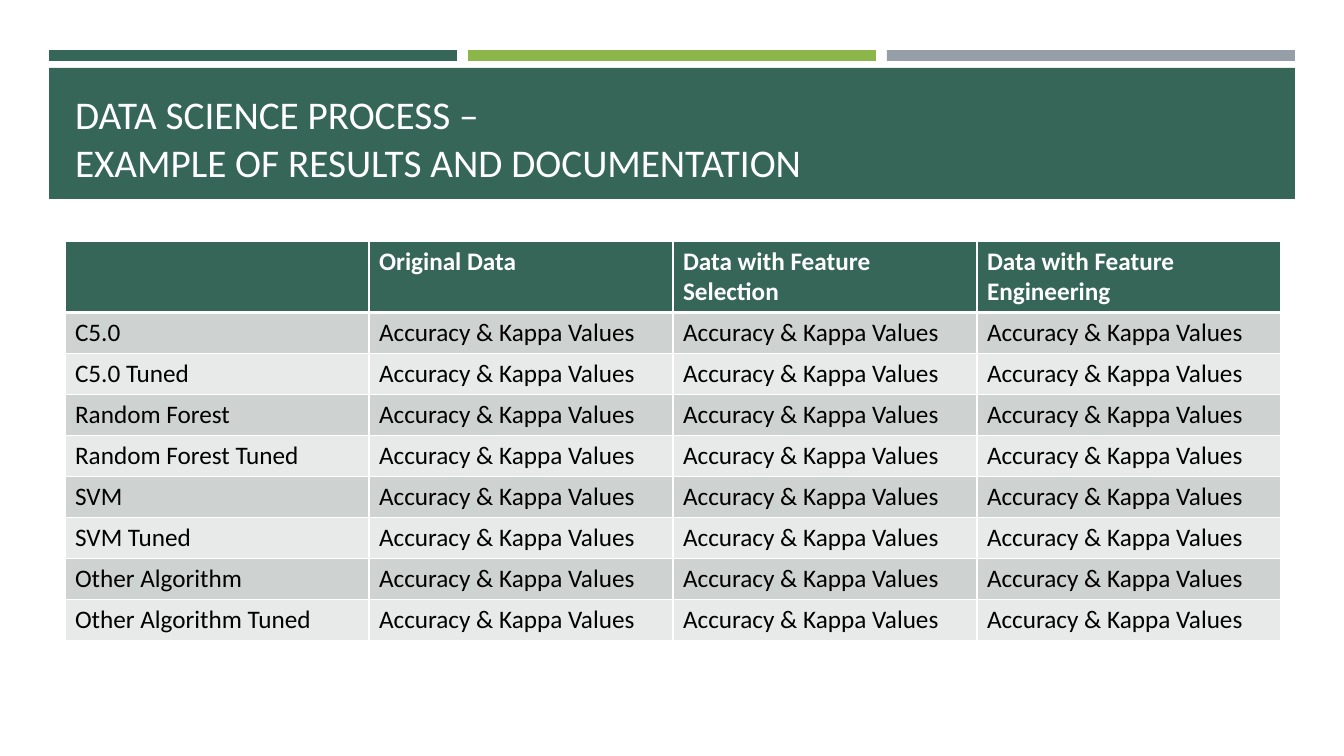
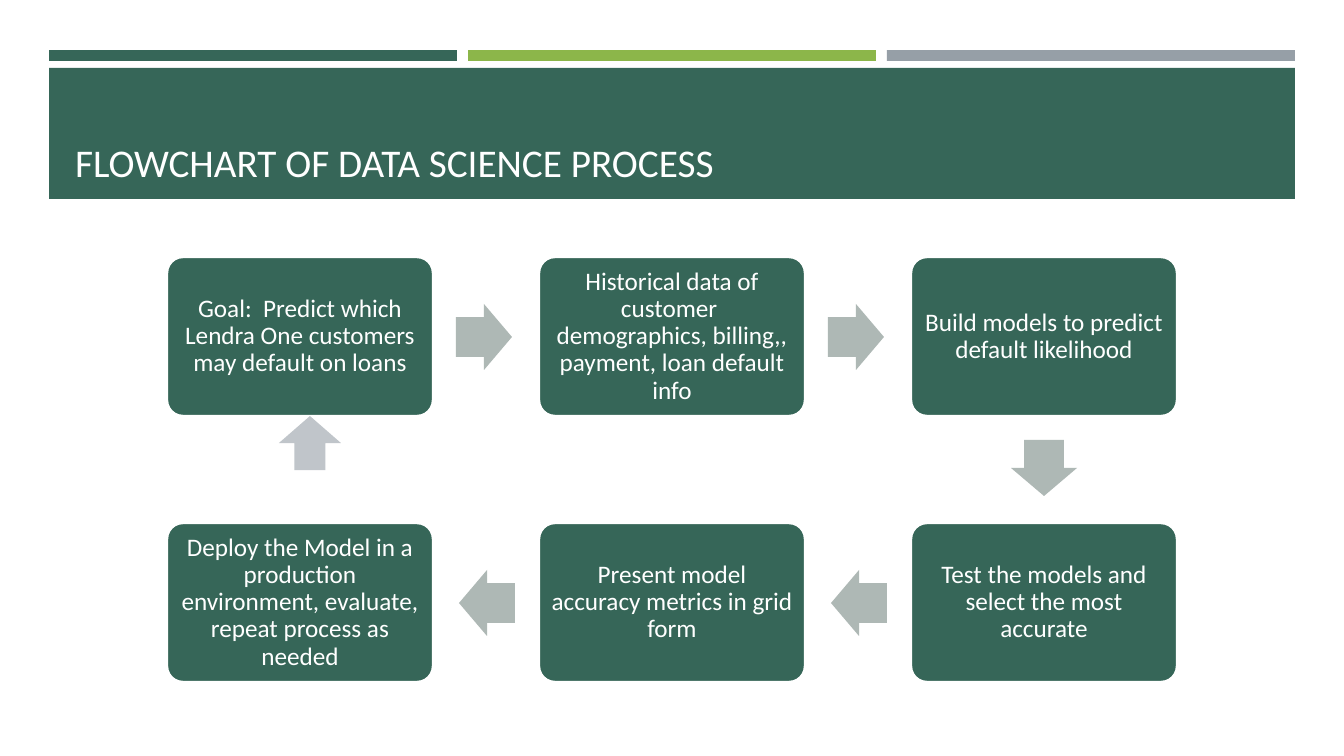
from dataclasses import dataclass

from lxml import etree
from pptx import Presentation
from pptx import util as u
from pptx.dml.color import RGBColor
from pptx.enum import shapes, text
from pptx.oxml.ns import qn

RESULTS_TITLE = "DATA SCIENCE PROCESS – \vEXAMPLE OF RESULTS AND DOCUMENTATION"
RESULTS_HEADER = ["", "Original Data", "Data with Feature Selection", "Data with Feature Engineering"]
ALGORITHMS = ["C5.0", "Random Forest", "SVM", "Other Algorithm"]
RESULT = "Accuracy & Kappa Values"

FLOW_TITLE = "FLOWCHART OF DATA SCIENCE PROCESS"
STEPS = [
    ("Goal:  Predict which Lendra One customers may default on loans", 0, 0, "right"),
    ("Historical data of customer  demographics, billing,, payment, loan default info", 1, 0, "right"),
    ("Build models to predict default likelihood", 2, 0, "down"),
    ("Test the models and select the most accurate", 2, 1, "left"),
    ("Present model accuracy metrics in grid form", 1, 1, "left"),
    ("Deploy the Model in a production environment, evaluate, repeat process as needed", 0, 1, None),
]
ARROW_PLACES = {"right": (289, 47, 0), "down": (105, 178, 90), "left": (-80, 47, 180)}


@dataclass(frozen=True)
class Theme:
    font: str = "Calibri"
    title_size: int = 28
    body_size: int = 18
    green: str = "366658"
    lime: str = "8CB64A"
    gray: str = "969FA7"
    white: str = "FFFFFF"
    black: str = "000000"
    row_dark: str = "CED3D1"
    row_light: str = "E8EAEA"
    arrow: str = "AEB8B5"
    return_arrow: str = "C0C5CA"


THEME = Theme()
EMU_PER_PIXEL = 914400 / 100.8


def px(length):
    return u.Emu(round(length * EMU_PER_PIXEL))


def rgb(value):
    return RGBColor.from_string(value)


def style_text(frame, size, color, bold=False, align=text.PP_ALIGN.LEFT):
    for paragraph in frame.paragraphs:
        paragraph.alignment = align
        font = paragraph.font
        font.name, font.size, font.bold = THEME.font, u.Pt(size), bold
        font.color.rgb = rgb(color)


def add_block(slide, kind, left, top, width, height, fill):
    shape = slide.shapes.add_shape(kind, px(left), px(top), px(width), px(height))
    shape.shadow.inherit = False
    shape.fill.solid()
    shape.fill.fore_color.rgb = rgb(fill)
    shape.line.fill.background()
    return shape


def move_bands_to_layout(slide, layout):
    for placeholder in list(layout.placeholders)[1:]:
        layout.shapes.element.remove(placeholder.element)
    bands = [(49 + 419 * i, 50, 408, 11, color)
             for i, color in enumerate((THEME.green, THEME.lime, THEME.gray))]
    bands.append((49, 68, 1246, 131, THEME.green))
    for position, band in enumerate(bands, start=2):
        shape = add_block(slide, shapes.MSO_SHAPE.RECTANGLE, *band)
        layout.shapes.element.insert(position, shape.element)


def add_slide(presentation, title_text):
    slide = presentation.slides.add_slide(presentation.slide_layouts[5])
    title = slide.shapes.title
    title.left, title.top, title.width, title.height = map(px, (65, 78, 1216, 112))
    frame = title.text_frame
    frame.text = title_text
    frame.auto_size = text.MSO_AUTO_SIZE.NONE
    frame.vertical_anchor = text.MSO_ANCHOR.BOTTOM
    style_text(frame, THEME.title_size, THEME.white)
    return slide


def set_borders(cell, top, bottom):
    properties = cell._tc.get_or_add_tcPr()
    widths = {"lnL": 1, "lnR": 1, "lnT": top, "lnB": bottom}
    for position, (side, width) in enumerate(widths.items()):
        line = etree.Element(qn(f"a:{side}"), w=str(u.Pt(width)))
        fill = etree.SubElement(line, qn("a:solidFill"))
        etree.SubElement(fill, qn("a:srgbClr"), val=THEME.white)
        properties.insert(position, line)


def add_results_table(slide):
    names = [name + suffix for name in ALGORITHMS for suffix in ("", " Tuned")]
    rows = [RESULTS_HEADER] + [[name] + [RESULT] * 3 for name in names]
    heights = [71] + [41] * len(names)
    table = slide.shapes.add_table(
        len(rows), len(RESULTS_HEADER), px(65), px(241), px(1216), px(sum(heights))).table
    for column in table.columns:
        column.width = px(304)
    for r, values in enumerate(rows):
        table.rows[r].height = px(heights[r])
        header = r == 0
        fill = THEME.green if header else (THEME.row_light, THEME.row_dark)[r % 2]
        for c, value in enumerate(values):
            cell = table.cell(r, c)
            cell.text = value
            cell.fill.solid()
            cell.fill.fore_color.rgb = rgb(fill)
            set_borders(cell, 3 if r == 1 else 1, 3 if header else 1)
            style_text(cell.text_frame, THEME.body_size,
                       THEME.white if header else THEME.black, header)


def add_step(slide, label, left, top):
    box = add_block(slide, shapes.MSO_SHAPE.ROUNDED_RECTANGLE, left, top, 266, 159, THEME.green)
    box.adjustments[0] = 0.1
    box.line.color.rgb = rgb(THEME.white)
    box.line.width = u.Pt(1.75)
    frame = box.text_frame
    frame.text = label
    frame.word_wrap = True
    frame.vertical_anchor = text.MSO_ANCHOR.MIDDLE
    frame.margin_left = frame.margin_right = frame.margin_top = frame.margin_bottom = px(7)
    style_text(frame, THEME.body_size, THEME.white, align=text.PP_ALIGN.CENTER)
    frame.paragraphs[0].line_spacing = 0.9


def add_flowchart(slide):
    for label, column, row, direction in STEPS:
        left, top = 167 + 372 * column, 257 + 266 * row
        add_step(slide, label, left, top)
        if direction:
            dx, dy, rotation = ARROW_PLACES[direction]
            arrow = add_block(slide, shapes.MSO_SHAPE.RIGHT_ARROW,
                              left + dx, top + dy, 56, 66, THEME.arrow)
            arrow.adjustments[0], arrow.adjustments[1] = 0.6, 0.5
            arrow.rotation = rotation
    add_block(slide, shapes.MSO_SHAPE.UP_ARROW, 279, 416, 62, 54, THEME.return_arrow)


presentation = Presentation()
presentation.slide_width, presentation.slide_height = px(1344), px(756)

results_slide = add_slide(presentation, RESULTS_TITLE)
move_bands_to_layout(results_slide, results_slide.slide_layout)
add_results_table(results_slide)

flow_slide = add_slide(presentation, FLOW_TITLE)
add_flowchart(flow_slide)

presentation.save("out.pptx")
